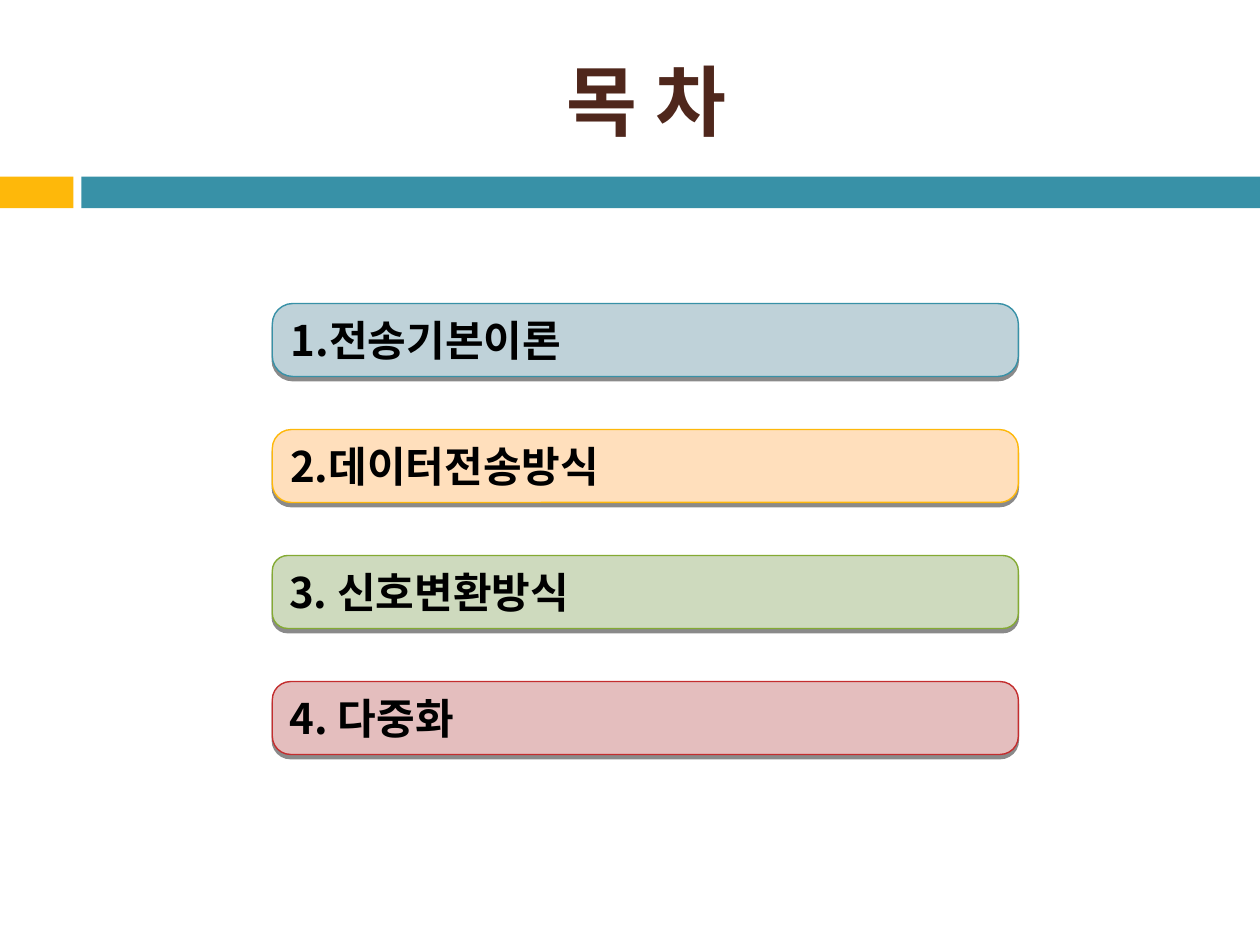
from dataclasses import dataclass

from lxml.etree import SubElement
from pptx import Presentation
from pptx.dml.color import RGBColor
from pptx.enum.shapes import MSO_SHAPE as Preset
from pptx.enum.text import MSO_ANCHOR as Anchor, PP_ALIGN as Align
from pptx.oxml.ns import qn
from pptx.shapes.autoshape import Shape
from pptx.slide import Slide
from pptx.text.text import TextFrame
from pptx.util import Cm, Pt

FONT = "Noto Sans CJK KR"
TOPIC_LEFT, TOPIC_TOP, TOPIC_PITCH = 5.49, 6.12, 2.54
TOPIC_WIDTH, TOPIC_HEIGHT = 15.04, 1.47


@dataclass(frozen=True)
class Band:
    left: float
    width: float
    color: str


@dataclass(frozen=True)
class Topic:
    label: str
    fill: str
    outline: str
    rounding: float


BANDS = [Band(0, 1.48, "FEB80A"), Band(1.64, 23.76, "3891A7")]
TOPICS = [
    Topic("1.전송기본이론", "BFD2D9", "3891A7", 0.28),
    Topic("2.데이터전송방식", "FFDFBC", "FEB80A", 0.26),
    Topic("3. 신호변환방식", "CEDABE", "84AA33", 0.21),
    Topic("4. 다중화", "E4BEBE", "C32D2E", 0.25),
]


def rgb(color: str) -> RGBColor:
    return RGBColor.from_string(color)


def write(frame: TextFrame, text: str, size: float, color: str, align: Align) -> None:
    frame.word_wrap = True
    frame.vertical_anchor = Anchor.MIDDLE
    paragraph = frame.paragraphs[0]
    paragraph.text = text
    paragraph.alignment = align
    font = paragraph.font
    font.name, font.size, font.bold = FONT, Pt(size), True
    font.color.rgb = rgb(color)
    # Hangul takes the East Asian typeface
    defaults = paragraph._p.pPr.find(qn("a:defRPr"))
    SubElement(defaults, qn("a:ea"), typeface=FONT)


def add_drop_shadow(shape: Shape) -> None:
    shape.shadow.inherit = False
    effects = shape._element.spPr.find(qn("a:effectLst"))
    shadow = SubElement(effects, qn("a:outerShdw"), blurRad="0",
                        dist=str(Pt(2.4)), dir="5400000", rotWithShape="0")
    black = SubElement(shadow, qn("a:srgbClr"), val="000000")
    SubElement(black, qn("a:alpha"), val="45000")


def draw_band(slide: Slide, band: Band) -> None:
    bar = slide.shapes.add_shape(
        Preset.RECTANGLE, Cm(band.left), Cm(3.56), Cm(band.width), Cm(0.64))
    bar.shadow.inherit = False
    bar.fill.solid()
    bar.fill.fore_color.rgb = rgb(band.color)
    bar.line.fill.background()


def draw_topic(slide: Slide, topic: Topic, row: int) -> None:
    box = slide.shapes.add_shape(
        Preset.ROUNDED_RECTANGLE, Cm(TOPIC_LEFT), Cm(TOPIC_TOP + row * TOPIC_PITCH),
        Cm(TOPIC_WIDTH), Cm(TOPIC_HEIGHT))
    box.adjustments[0] = topic.rounding
    box.fill.solid()
    box.fill.fore_color.rgb = rgb(topic.fill)
    box.line.color.rgb = rgb(topic.outline)
    box.line.width = Pt(0.79)
    add_drop_shadow(box)
    write(box.text_frame, topic.label, 24, "000000", Align.LEFT)


def main() -> None:
    deck = Presentation()
    deck.slide_width, deck.slide_height = Cm(25.4), Cm(19.05)
    slide = deck.slides.add_slide(deck.slide_layouts[6])

    # Divider under the heading
    for band in BANDS:
        draw_band(slide, band)

    # Heading
    heading = slide.shapes.add_textbox(Cm(1.7), Cm(0.64), Cm(22.66), Cm(2.74))
    write(heading.text_frame, "목 차", 44, "4F271C", Align.CENTER)

    # Contents list
    for row, topic in enumerate(TOPICS):
        draw_topic(slide, topic, row)

    deck.save("out.pptx")


if __name__ == "__main__":
    main()
